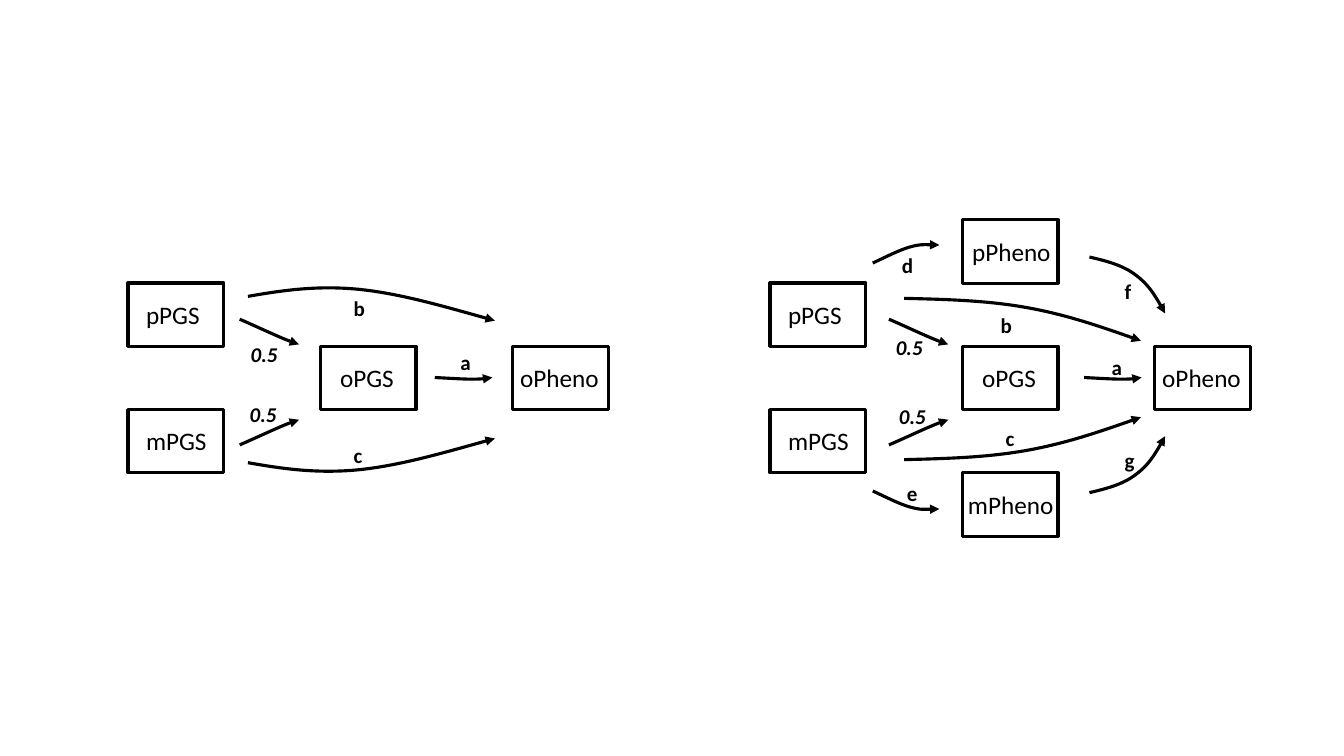
from copy import deepcopy

from pptx import Presentation
from pptx.dml.color import RGBColor
from pptx.enum.shapes import MSO_SHAPE
from pptx.enum.text import MSO_AUTO_SIZE
from pptx.oxml.ns import qn
from pptx.util import Pt
from lxml.etree import SubElement

BLACK = RGBColor(0, 0, 0)
FONT = "Calibri"
LINE_WIDTH = 2.25
NODE_WIDTH, NODE_HEIGHT = 68.5, 45.3
COLUMN_STEP, ROW_STEP = 137.25, 45.2
AXIS = 270  # height of the line about which both diagrams are mirrored

# Nodes: name, column, row counted from the axis, indent of the name, width of the name
CORE_NODES = [
    ("pPGS", 0, -1, 5.8, 71.3),
    ("mPGS", 0, 1, 5.8, 71.3),
    ("oPGS", 1, 0, 7.2, 71.3),
    ("oPheno", 2, 0, -1.4, 71.3),
]
PARENT_PHENO_NODES = [
    ("pPheno", 1, -2, 0, 71.3),
    ("mPheno", 1, 2, -2.9, 78.5),
]

# Curves: start point, then three Bézier points per segment, from panel left and axis
INHERITANCE = [(85, -42), (101.5, -34.8), (117.4, -27), (127.4, -24)]
OWN_EFFECT = [(224.4, -0.3), (240.5, 0.5), (256.3, 1.8), (265.5, -0.3)]
DIRECT_PARENT = [(85.7, -58.3), (110.2, -62.6), (134.6, -66.2), (164.2, -63.4),
                 (193.7, -60.5), (228.2, -50.4), (262.1, -41)]
NURTURE_PARENT = [(95.8, -56.9), (125.3, -56.2), (154.8, -55.4), (182.9, -50.4),
                  (211, -45.4), (238.3, -36), (265, -26.6)]
TO_PARENT_PHENO = [(73.4, -82.1), (82.8, -86.4), (92.2, -91.4), (100.1, -93.6),
                   (108, -95.8), (116.6, -95), (121, -95)]
FROM_PARENT_PHENO = [(228.2, -86.4), (240.5, -83.5), (252, -80.6), (261.4, -73.4),
                     (270, -67), (276.5, -56.9), (282.2, -46.1)]

# Labels: text, left, top, from panel left and axis
DIRECT_LABELS = [("c", 154.1, 42.5), ("a", 230.4, -23.8), ("b", 154.1, -62.6),
                 ("0.5", 79.9, 13), ("0.5", 80.6, -29.5)]
NURTURE_LABELS = [("d", 87.1, -92.9), ("e", 90.7, 69.8), ("f", 246.2, -74.9),
                  ("g", 246.2, 46.1), ("c", 161.3, 30.2), ("a", 236.9, -20.2),
                  ("b", 157.7, -50.4), ("0.5", 85, 14.4), ("0.5", 82.8, -34.6)]


def style_outline(shape):
    shape.shadow.inherit = False
    shape.fill.background()
    shape.line.color.rgb = BLACK
    shape.line.width = Pt(LINE_WIDTH)


def add_label(slide, text, left, top, width, height, size, bold=False, italic=False):
    label = slide.shapes.add_textbox(Pt(left), Pt(top), Pt(width), Pt(height))
    frame = label.text_frame
    frame.word_wrap = True
    frame.auto_size = MSO_AUTO_SIZE.SHAPE_TO_FIT_TEXT
    run = frame.paragraphs[0].add_run()
    run.text = text
    font = run.font
    font.name, font.size, font.bold, font.italic = FONT, Pt(size), bold, italic
    font.color.rgb = BLACK


def add_node(slide, panel_left, name, column, row, indent, name_width):
    left = panel_left + column * COLUMN_STEP
    top = AXIS + row * ROW_STEP - NODE_HEIGHT / 2
    node = slide.shapes.add_shape(MSO_SHAPE.RECTANGLE, Pt(left), Pt(top),
                                  Pt(NODE_WIDTH), Pt(NODE_HEIGHT))
    style_outline(node)
    add_label(slide, name, left + indent, top + 8, name_width, 29, 18)


def add_curved_arrow(slide, panel_left, curve):
    """Draw the control polygon, then turn each three lines into a Bézier segment."""
    start, *controls = [(Pt(panel_left + x), Pt(AXIS + y)) for x, y in curve]
    builder = slide.shapes.build_freeform(*start)
    builder.add_line_segments(controls, close=False)
    arrow = builder.convert_to_shape()
    style_outline(arrow)

    outline = next(arrow._element.iter(qn("a:path")))
    lines = outline.findall(qn("a:lnTo"))
    for first in range(0, len(lines), 3):
        segment = SubElement(outline, qn("a:cubicBezTo"))
        for line in lines[first:first + 3]:
            segment.append(deepcopy(line[0]))
            outline.remove(line)
    SubElement(arrow.line._get_or_add_ln(), qn("a:tailEnd"), type="triangle")


def add_mirrored_arrows(slide, panel_left, curve, mirror_sum):
    """Draw a father's arrow and the mother's; their heights add up to mirror_sum."""
    add_curved_arrow(slide, panel_left, curve)
    add_curved_arrow(slide, panel_left, [(x, mirror_sum - y) for x, y in curve])


def add_path_diagram(slide, left, nodes, core_shift, parent_curves, labels):
    for node in nodes:
        add_node(slide, left, *node)
    add_mirrored_arrows(slide, left + core_shift, INHERITANCE, 5.8)
    add_curved_arrow(slide, left + core_shift, OWN_EFFECT)
    for curve, mirror_sum in parent_curves:
        add_mirrored_arrows(slide, left, curve, mirror_sum)
    for text, x, y in labels:
        is_number = text == "0.5"
        add_label(slide, text, left + x, AXIS + y, 63 if is_number else 25, 25.2,
                  15, bold=True, italic=is_number)


def main():
    deck = Presentation()
    deck.slide_width, deck.slide_height = Pt(960), Pt(540)
    slide = deck.slides.add_slide(deck.slide_layouts[6])
    add_path_diagram(slide, 91.4, CORE_NODES, -5.2,
                     [(DIRECT_PARENT, 2.2)], DIRECT_LABELS)
    add_path_diagram(slide, 550, CORE_NODES + PARENT_PHENO_NODES, 0,
                     [(NURTURE_PARENT, 1.4), (TO_PARENT_PHENO, -1.4),
                      (FROM_PARENT_PHENO, -4.5)], NURTURE_LABELS)
    deck.save("out.pptx")


if __name__ == "__main__":
    main()
